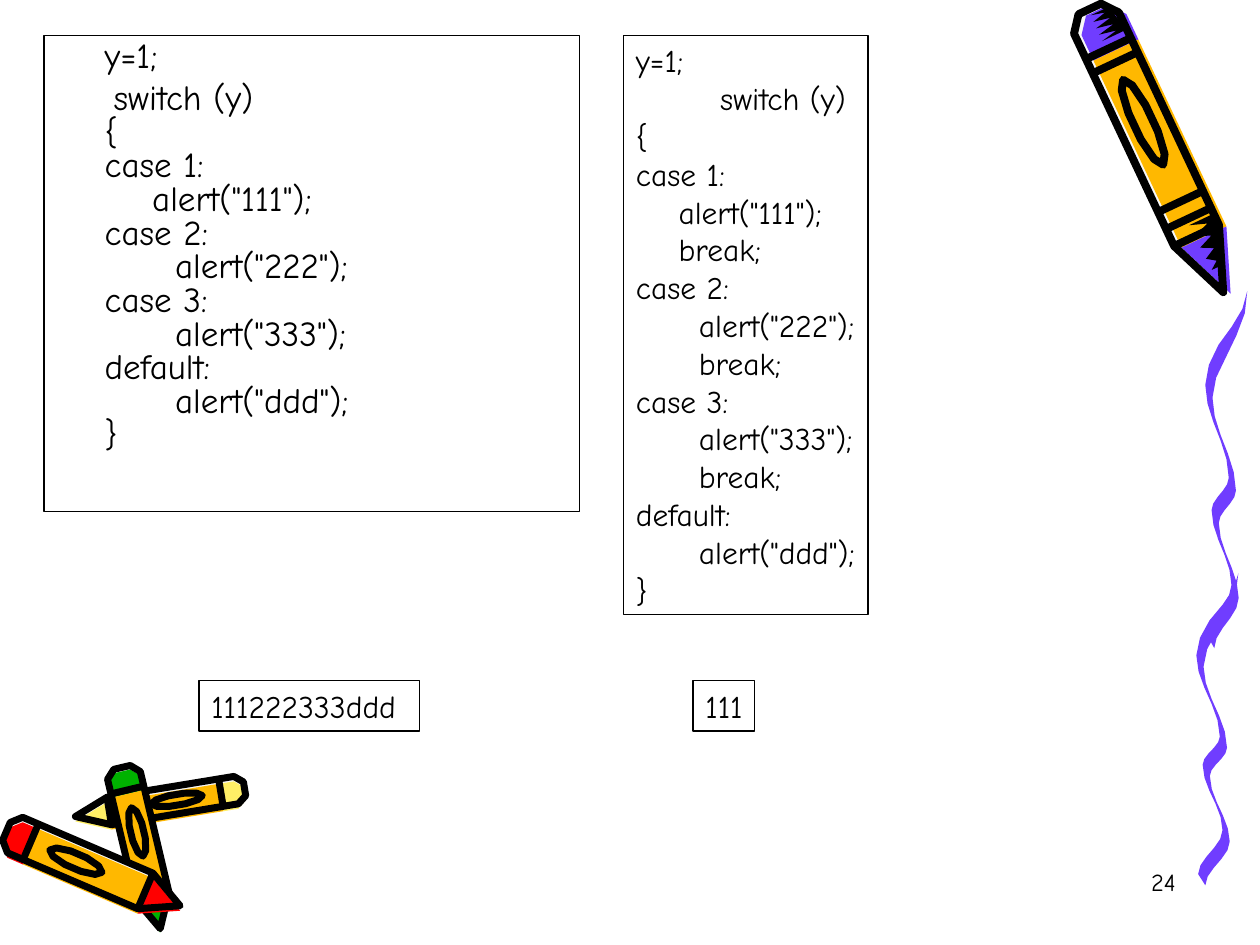
from dataclasses import dataclass
from math import cos, hypot, pi, sin

from pptx import Presentation
from pptx.dml.color import RGBColor
from pptx.enum.text import PP_ALIGN
from pptx.util import Cm, Pt

LEFT = PP_ALIGN.LEFT
RIGHT = PP_ALIGN.RIGHT
FONT = "Comic Neue"
BLACK = "000000"
PURPLE = "703DFF"
ORANGE = "FFB800"
YELLOW = "FFEF66"
RED = "FF0000"
GREEN = "00B200"
PALE = "F8F8F8"

CAP_BEVEL = 0.05
CAP_END = 0.14
SHOULDER = 0.8
MARK_CENTER = 0.4
MARK_LENGTH = 0.15
MARK_WIDTH = 0.4

SQUIGGLE_TURNS = [(0.95, 0), (0.1, 0.28), (0.62, 0.54), (0.24, 0.63), (0.68, 0.84), (0.14, 0.98)]
STEPS_PER_TURN = 5
PEN_X, PEN_Y = 0.08, 0.018

Point = tuple[float, float]


@dataclass
class Crayon:
    base: Point
    tip: Point
    half_width: float
    wax: str
    color_shift: Point
    ink_width: float
    bands: tuple[float, ...] = (CAP_END, SHOULDER)
    teeth: tuple[Point, ...] = ()

    def place(self, along: float, across: float) -> Point:
        dx, dy = self.tip[0] - self.base[0], self.tip[1] - self.base[1]
        reach = across * self.half_width / hypot(dx, dy)
        return self.base[0] + along * dx + reach * dy, self.base[1] + along * dy - reach * dx


@dataclass
class Squiggle:
    left: float
    top: float
    width: float
    height: float


@dataclass
class Line:
    text: str
    indent: float = 0
    before: float = 0


@dataclass
class TextBlock:
    left: float
    top: float
    width: float
    height: float
    size: float
    lines: list[Line]
    spacing: float = 1.0
    align: int = LEFT
    bordered: bool = True


LARGE_CRAYON = Crayon((21.97, 0.18), (24.66, 5.89), 0.5, PURPLE, (0.15, 0.03), 4.5,
                      bands=(CAP_END, 0.19, 0.68, 0.74, SHOULDER), teeth=((0.02, 0.11), (0.76, 0.92)))
SMALL_CRAYONS = [
    Crayon((4.93, 15.9), (1.52, 16.46), 0.28, YELLOW, (0, 0.1), 4),
    Crayon((2.46, 15.47), (3.23, 18.72), 0.34, GREEN, (0, 0.08), 4),
    Crayon((0.13, 16.76), (3.63, 18.26), 0.39, RED, (0, 0.1), 4),
]
SQUIGGLES = [Squiggle(24.1, 11.56, 0.91, 6.3), Squiggle(24.28, 5.87, 0.91, 7.21)]


def rgb(value: str) -> RGBColor:
    return RGBColor.from_string(value)


def draw_polygon(shapes, points: list[Point], fill: str = "", ink_width: float = 0,
                 shift: Point = (0, 0), close: bool = True) -> None:
    start, *rest = [(Cm(x + shift[0]), Cm(y + shift[1])) for x, y in points]
    builder = shapes.build_freeform(*start)
    builder.add_line_segments(rest, close=close)
    shape = builder.convert_to_shape()
    shape.shadow.inherit = False
    if fill:
        shape.fill.solid()
        shape.fill.fore_color.rgb = rgb(fill)
    else:
        shape.fill.background()
    if ink_width:
        shape.line.color.rgb = rgb(BLACK)
        shape.line.width = Pt(ink_width)
    else:
        shape.line.fill.background()


def profile(along: float) -> float:
    if along < CAP_BEVEL:
        return 0.5 + 0.5 * along / CAP_BEVEL
    return min(1, (1 - along) / (1 - SHOULDER))


def section(crayon: Crayon, *stations: float) -> list[Point]:
    upper = [crayon.place(along, profile(along)) for along in stations]
    lower = [crayon.place(along, -profile(along)) for along in reversed(stations)]
    return upper + lower


def tooth_points(crayon: Crayon, start: float, end: float, count: int = 4) -> list[Point]:
    points = [crayon.place(start, profile(start)), crayon.place(end, profile(end))]
    for index in range(2 * count + 1):
        along = end + (start - end) * index / (2 * count)
        depth = 0.6 if index % 2 else -0.1
        points.append(crayon.place(along, depth * profile(along)))
    return points


def mark_points(crayon: Crayon, corners: int = 10) -> list[Point]:
    angles = [2 * pi * index / corners for index in range(corners)]
    return [crayon.place(MARK_CENTER + MARK_LENGTH * cos(angle), MARK_WIDTH * sin(angle))
            for angle in angles]


def draw_crayon(page, crayon: Crayon) -> None:
    shapes = page.shapes.add_group_shape().shapes
    silhouette = section(crayon, 0, CAP_BEVEL, SHOULDER, 1)
    draw_polygon(shapes, silhouette, PALE)
    draw_polygon(shapes, section(crayon, 0, CAP_BEVEL, CAP_END), crayon.wax, shift=crayon.color_shift)
    draw_polygon(shapes, section(crayon, CAP_END, SHOULDER), ORANGE, shift=crayon.color_shift)
    draw_polygon(shapes, section(crayon, SHOULDER, 1), crayon.wax, shift=crayon.color_shift)
    for start, end in crayon.teeth:
        draw_polygon(shapes, tooth_points(crayon, start, end), BLACK)
    for band in crayon.bands:
        draw_polygon(shapes, section(crayon, band), ink_width=crayon.ink_width, close=False)
    draw_polygon(shapes, mark_points(crayon), ink_width=crayon.ink_width)
    draw_polygon(shapes, silhouette, ink_width=crayon.ink_width)


def draw_squiggle(page, squiggle: Squiggle) -> None:
    center = [SQUIGGLE_TURNS[0]]
    for (x0, y0), (x1, y1) in zip(SQUIGGLE_TURNS, SQUIGGLE_TURNS[1:]):
        for step in range(1, STEPS_PER_TURN + 1):
            part = step / STEPS_PER_TURN
            center.append((x0 + (x1 - x0) * (1 - cos(pi * part)) / 2, y0 + (y1 - y0) * part))
    edges = []
    for side in (-1, 1):
        edges.append([(squiggle.left + squiggle.width * (x + side * PEN_X * min(1, index / 3)),
                       squiggle.top + squiggle.height * (y + side * PEN_Y * min(1, index / 3)))
                      for index, (x, y) in enumerate(center)])
    draw_polygon(page.shapes, edges[0] + edges[1][::-1], PURPLE)


def switch_listing(margin: float, switch_indent: float, first_indent: float, body_indent: float,
                   lead: float, breaks: bool) -> list[Line]:
    lines = [Line("y=1;", margin, lead), Line("switch (y)", switch_indent, lead), Line("{", margin)]
    for label, output in (("case 1", "111"), ("case 2", "222"), ("case 3", "333"), ("default", "ddd")):
        indent = first_indent if output == "111" else body_indent
        lines += [Line(f"{label}:", margin), Line(f'alert("{output}");', indent)]
        if breaks and label != "default":
            lines.append(Line("break;", indent))
    return lines + [Line("}", margin)]


def draw_text(page, block: TextBlock) -> None:
    box = page.shapes.add_textbox(Cm(block.left), Cm(block.top), Cm(block.width), Cm(block.height))
    if block.bordered:
        box.line.color.rgb = rgb(BLACK)
        box.line.width = Pt(0.75)
    frame = box.text_frame
    frame.word_wrap = True
    frame.margin_right = 0
    for index, line in enumerate(block.lines):
        para = frame.add_paragraph() if index else frame.paragraphs[0]
        para.alignment, para.line_spacing, para.space_before = block.align, block.spacing, Pt(line.before)
        para._p.get_or_add_pPr().set("marL", str(Cm(line.indent)))
        span = para.add_run()
        span.text = line.text
        span.font.name, span.font.size = FONT, Pt(block.size)
        span.font.color.rgb = rgb(BLACK)


def main() -> None:
    deck = Presentation()
    deck.slide_width, deck.slide_height = Cm(25.4), Cm(19.05)
    page = deck.slides.add_slide(deck.slide_layouts[6])
    for squiggle in SQUIGGLES:
        draw_squiggle(page, squiggle)
    for crayon in [*SMALL_CRAYONS, LARGE_CRAYON]:
        draw_crayon(page, crayon)
    fall_through = switch_listing(0.97, 1.15, 1.93, 2.39, lead=5, breaks=False)
    with_breaks = switch_listing(0, 1.7, 0.86, 1.27, lead=0, breaks=True)
    for block in (
        TextBlock(18.67, 17.35, 5.03, 1.27, 14, [Line("24")], align=RIGHT, bordered=False),
        TextBlock(0.89, 0.71, 10.8, 9.6, 20, fall_through, spacing=0.8),
        TextBlock(12.57, 0.71, 4.93, 11.68, 18, with_breaks),
        TextBlock(4.01, 13.72, 4.45, 1.02, 18, [Line("111222333ddd")]),
        TextBlock(13.97, 13.72, 1.24, 1.02, 18, [Line("111")]),
    ):
        draw_text(page, block)
    deck.save("out.pptx")


if __name__ == "__main__":
    main()
